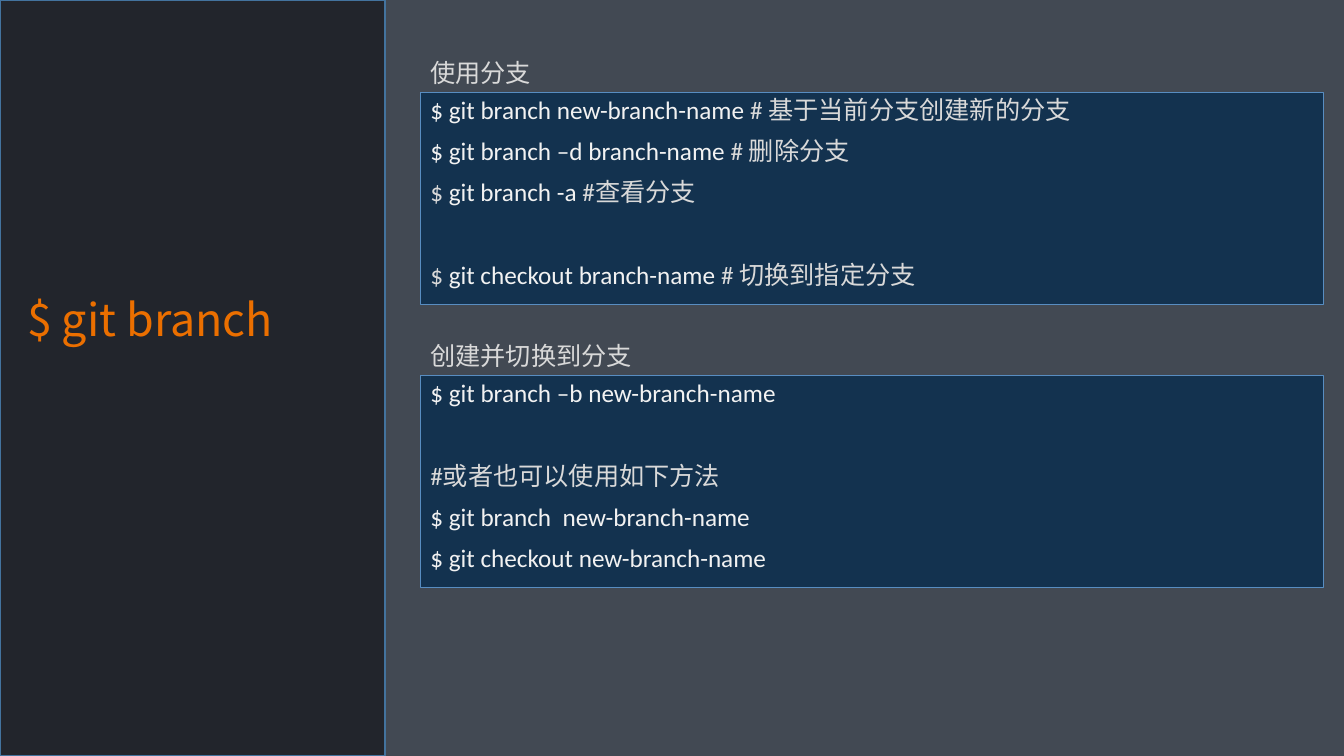
from pptx import Presentation
from pptx.dml.color import RGBColor
from pptx.enum.shapes import MSO_SHAPE as Preset
from pptx.enum.text import MSO_ANCHOR as Anchor, PP_ALIGN as Align
from pptx.util import Inches, Pt

COMMAND, NOTE = "F2F2F2", "D9D9D9"
CONTENT_LEFT, CONTENT_WIDTH = 4.17, 8.96
HEADING_HEIGHT, CODE_HEIGHT = 0.4, 2.1
LINE_GAP, GROUP_GAP = 10, 39.5

# Each section holds groups of lines; each line holds (text, colour) pieces.
SECTIONS = [
    (0.52, 1.21, "使用分支", [
        [
            [("$ git branch new-branch-name ", COMMAND), ("# 基于当前分支创建新的分支", NOTE)],
            [("$ git branch –d branch-name ", COMMAND), ("# 删除分支", NOTE)],
            [("$ ", NOTE), ("git branch -a ", COMMAND), ("#查看分支", NOTE)],
        ],
        [[("$ ", NOTE), ("git checkout branch-name ", COMMAND), ("# 切换到指定分支", NOTE)]],
    ]),
    (3.33, 2.22, "创建并切换到分支", [
        [[("$ git branch –b new-branch-name", COMMAND)]],
        [
            [("#或者也可以使用如下方法", NOTE)],
            [("$ git branch  new-branch-name", COMMAND)],
            [("$ git checkout new-branch-name", COMMAND)],
        ],
    ]),
]


def color(hex_code):
    return RGBColor.from_string(hex_code)


def style(font, size, hex_code, name="Calibri"):
    font.size, font.name = Pt(size), name
    font.color.rgb = color(hex_code)


def add_panel(slide, box, fill, line, line_width):
    panel = slide.shapes.add_shape(Preset.RECTANGLE, *map(Inches, box))
    panel.shadow.inherit = False
    panel.fill.solid()
    panel.fill.fore_color.rgb = color(fill)
    panel.line.color.rgb = color(line)
    panel.line.width = Pt(line_width)
    return panel


def add_label(slide, box, text, size, hex_code, font_name="Calibri", wrap=False):
    frame = slide.shapes.add_textbox(*map(Inches, box)).text_frame
    frame.word_wrap = wrap
    frame.text = text
    style(frame.paragraphs[0].runs[0].font, size, hex_code, font_name)
    return frame


def add_sidebar(slide, width, height):
    add_panel(slide, (0, 0, width, height), "22252C", "43739E", 1)
    title = add_label(slide, (0.17, 0.45, width - 0.33, height - 0.65),
                      "$ git branch", 32, "EB6F00", "Noto Sans CJK SC", wrap=True)
    title.margin_top = Inches(2.5)
    title.paragraphs[0].line_spacing = 0.9


def add_code(slide, box, groups):
    """Command panel with a wider gap between groups of lines."""
    frame = add_panel(slide, box, "13324F", "588DC1", 0.75).text_frame
    frame.word_wrap = True
    frame.vertical_anchor = Anchor.TOP
    lines = [(line, GROUP_GAP if row == 0 else LINE_GAP)
             for group in groups for row, line in enumerate(group)]
    for index, (line, gap) in enumerate(lines):
        paragraph = frame.add_paragraph() if index else frame.paragraphs[0]
        paragraph.alignment = Align.LEFT
        paragraph.line_spacing = 0.9
        paragraph.space_before = Pt(gap if index else 0)
        for text, hex_code in line:
            run = paragraph.add_run()
            run.text = text
            style(run.font, 18, hex_code)


def add_section(slide, top, heading_width, heading, groups):
    add_label(slide, (CONTENT_LEFT, top, heading_width, HEADING_HEIGHT), heading, 18, NOTE)
    add_code(slide, (CONTENT_LEFT, top + HEADING_HEIGHT, CONTENT_WIDTH, CODE_HEIGHT), groups)


def main():
    deck = Presentation()
    deck.slide_width, deck.slide_height = Inches(13.33), Inches(7.5)
    slide = deck.slides.add_slide(deck.slide_layouts[6])
    slide.background.fill.solid()
    slide.background.fill.fore_color.rgb = color("424953")
    add_sidebar(slide, 3.82, 7.5)
    for section in SECTIONS:
        add_section(slide, *section)
    deck.save("out.pptx")


if __name__ == "__main__":
    main()
